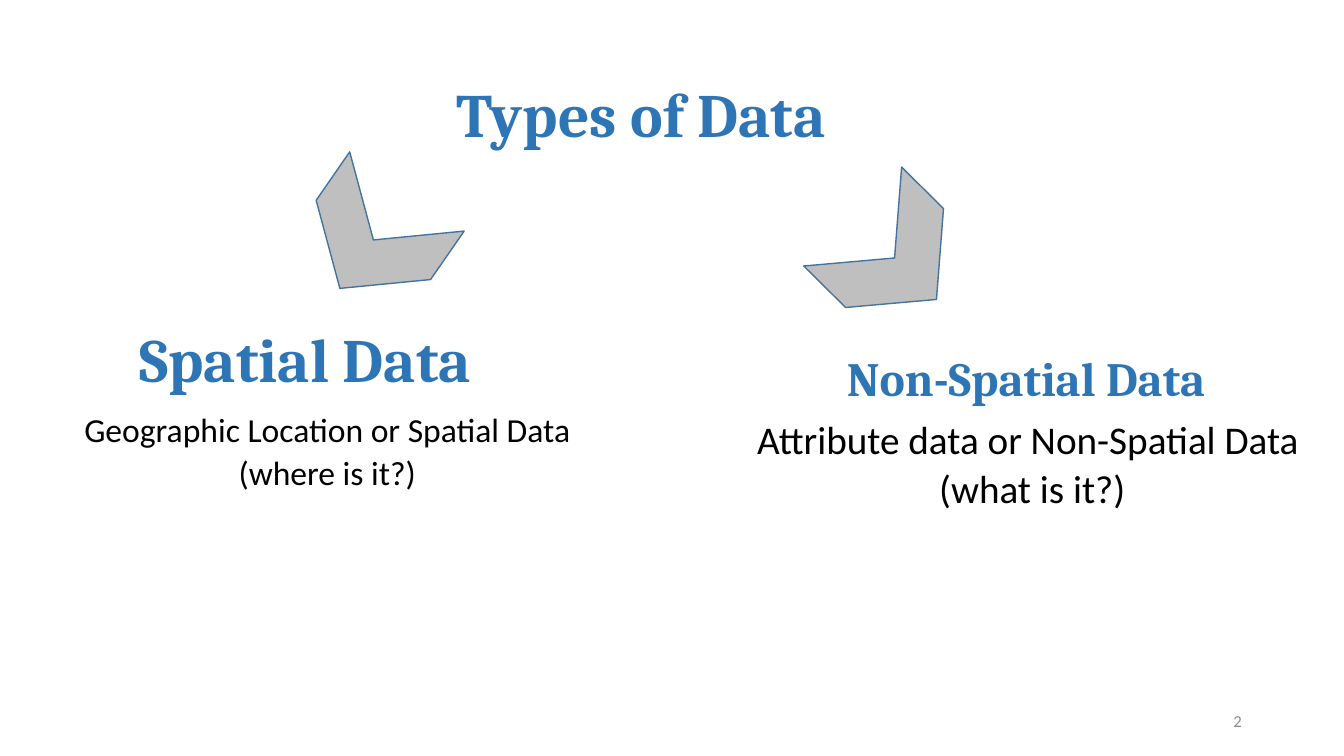
from pptx import Presentation
from pptx.dml.color import RGBColor
from pptx.enum import shapes, text
from pptx.util import Pt

# Content: lines, box in points (left, top, width, height), format
TITLE = ("Types of Data", (43.9, 51.8, 828, 64.8))
HEADS = [
    ("Spatial Data", (68.4, 226.8, 299.5, 64.8), 44, 0.9),
    ("Non-Spatial Data", (583.2, 241.9, 299.5, 64.8), 34.1, 0.7),
]
NOTES = [
    (["Geographic Location or Spatial Data ", "(where is it?) "],
     (11.5, 291.6, 414, 86.4), 24),
    (["Attribute data or Non-Spatial Data ", "(what is it?)"],
     (478.1, 296.6, 482.4, 72.7), 28),
]
NUMBER = ("2", (678.2, 500.4, 216, 28.8))
ARROWS = [(596.9, 134.6, 44.7), (224.6, 121.7, 124.7)]  # left, top, turn
ARROW_SIZE = (84.2, 99.4)
COLORS = {"head": "2E75B6", "body": "000000", "number": "8C8C8C",
          "arrow": "BFBFBF", "edge": "43739E"}


def color(name):
    return RGBColor.from_string(COLORS[name])


def write(shape, lines, size, tint, font="Calibri", bold=False,
          align=text.PP_ALIGN.CENTER, anchor=text.MSO_ANCHOR.MIDDLE,
          spacing=0.9, before=0, indent=0):
    frame = shape.text_frame
    frame.word_wrap = True
    frame.auto_size = text.MSO_AUTO_SIZE.NONE
    frame.vertical_anchor = anchor
    for i, line in enumerate(lines):
        par = frame.paragraphs[0] if i == 0 else frame.add_paragraph()
        par.alignment = align
        par.line_spacing = spacing
        par.space_before = Pt(before if i else 0)
        if indent:
            par.level = 1
            props = par._p.get_or_add_pPr()
            props.set("marL", str(Pt(indent)))
            props.set("indent", "0")
        run = par.add_run()
        run.text = line
        run.font.name = font
        run.font.size = Pt(size)
        run.font.bold = bold
        run.font.color.rgb = color(tint)


def main():
    deck = Presentation()
    deck.slide_width, deck.slide_height = Pt(960), Pt(540)
    slide = deck.slides.add_slide(deck.slide_layouts[5])

    def add_box(box):
        return slide.shapes.add_textbox(*map(Pt, box))

    # Title
    words, box = TITLE
    title = slide.shapes.title
    title.left, title.top, title.width, title.height = map(Pt, box)
    write(title, [words], 44, "head", font="Cambria", bold=True)

    # Slide number
    words, box = NUMBER
    write(add_box(box), [words], 12, "number",
          align=text.PP_ALIGN.RIGHT, spacing=1)

    # The two kinds of data
    for words, box, size, spacing in HEADS:
        write(add_box(box), [words], size, "head", font="Cambria",
              bold=True, spacing=spacing)
    for lines, box, size in NOTES:
        write(add_box(box), lines, size, "body",
              anchor=text.MSO_ANCHOR.TOP, before=5, indent=36)

    # Chevrons from the title to each kind
    for left, top, turn in ARROWS:
        arrow = slide.shapes.add_shape(
            shapes.MSO_SHAPE.CHEVRON, *map(Pt, (left, top, *ARROW_SIZE)))
        arrow.rotation = turn
        arrow.shadow.inherit = False
        arrow.fill.solid()
        arrow.fill.fore_color.rgb = color("arrow")
        arrow.line.color.rgb = color("edge")
        arrow.line.width = Pt(1)

    deck.save("out.pptx")


if __name__ == "__main__":
    main()
